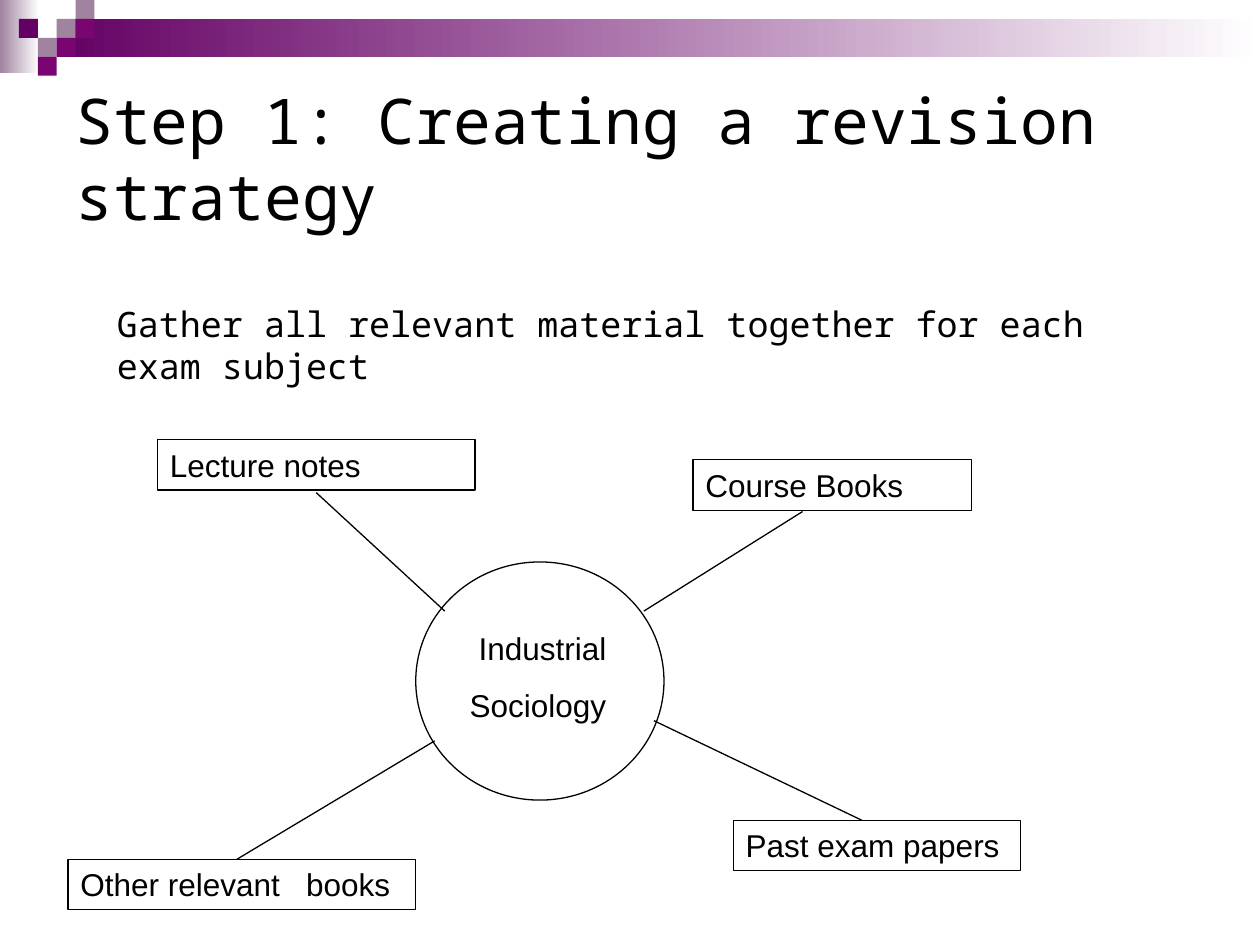
import pptx
import pptx.dml.color
import pptx.enum.shapes
import pptx.enum.text
import pptx.oxml
import pptx.util

COLORS = {
    "ink": "000000",
    "paper": "FFFFFF",
    "mauve": "9F839F",
    "purple": "640064",
    "plum": "790571",
}
GRID = 0.15
BODY_FONT = "Arial"
DISPLAY_FONT = "Noto Sans Mono"
SHAPES = pptx.enum.shapes.MSO_SHAPE

CHECKERS = [
    (3, 1, "mauve"), (4, 0, "mauve"), (4, 1, "plum"), (2, 2, "mauve"),
    (1, 1, "purple"), (3, 2, "plum"), (2, 3, "plum"),
]
SPOKES = [
    ((3.45, 5.88), (1.88, 6.82)),
    ((5.11, 4.85), (6.37, 4.06)),
    ((3.53, 4.85), (2.51, 3.91)),
    ((5.19, 5.72), (6.84, 6.51)),
]
SOURCES = [
    ("Lecture notes", 1.25, 3.49, 2.52),
    ("Course Books", 5.5, 3.65, 2.21),
    ("Past exam papers", 5.82, 6.51, 2.28),
    ("Other relevant   books", 0.54, 6.82, 2.76),
]


def color(name):
    return pptx.dml.color.RGBColor.from_string(COLORS[name])


def inches(*lengths):
    return [pptx.util.Inches(length) for length in lengths]


def add_outline(line):
    line.color.rgb = color("ink")
    line.width = pptx.util.Pt(0.75)


def add_shape(slide, preset, box, fill=None, outlined=False):
    shape = slide.shapes.add_shape(preset, *inches(*box))
    shape.shadow.inherit = False
    if fill:
        shape.fill.solid()
        shape.fill.fore_color.rgb = color(fill)
    else:
        shape.fill.background()
    if outlined:
        add_outline(shape.line)
    else:
        shape.line.fill.background()
    return shape


def add_fade(slide, box, start):
    shape = add_shape(slide, SHAPES.RECTANGLE, box)
    shape.fill.gradient()
    shape.fill.gradient_angle = 0
    for stop, name in zip(shape.fill.gradient_stops, (start, "paper")):
        stop.color.rgb = color(name)


def add_spoke(slide, start, end):
    connector = slide.shapes.add_connector(
        pptx.enum.shapes.MSO_CONNECTOR.STRAIGHT, *inches(*start, *end))
    add_outline(connector.line)
    connector._element.spPr.append(
        pptx.oxml.parse_xml('<a:effectLst xmlns:a="http://schemas.openxmlformats.org/drawingml/2006/main"/>'))


def write(shape, lines, size, font, before=0, indents=(0,), anchor="TOP"):
    frame = shape.text_frame
    frame.word_wrap = True
    frame.vertical_anchor = getattr(pptx.enum.text.MSO_ANCHOR, anchor)
    for index, text in enumerate(lines):
        paragraph = frame.paragraphs[0] if index == 0 else frame.add_paragraph()
        paragraph.alignment = pptx.enum.text.PP_ALIGN.LEFT
        paragraph.space_before = pptx.util.Pt(before)
        paragraph._p.get_or_add_pPr().set("marL", str(pptx.util.Inches(indents[index])))
        run = paragraph.add_run()
        run.text = text
        run.font.size = pptx.util.Pt(size)
        run.font.name = font
        run.font.color.rgb = color("ink")
    return frame


def add_text(slide, box, lines, size, font, **layout):
    return write(slide.shapes.add_textbox(*inches(*box)), lines, size, font, **layout)


def add_banner(slide):
    add_fade(slide, (0, 0, 0.31, 0.58), "mauve")
    add_fade(slide, (3 * GRID, GRID, 10 - 3 * GRID, 2 * GRID), "purple")
    for column, row, fill in CHECKERS:
        add_shape(slide, SHAPES.RECTANGLE, (column * GRID, row * GRID, GRID, GRID), fill)


def add_mind_map(slide):
    add_shape(slide, SHAPES.OVAL, (3.3, 4.46, 1.97, 1.89), "paper", outlined=True)
    add_text(slide, (3.35, 4.94, 2.13, 0.86), ["Industrial", "Sociology"], 18, BODY_FONT,
             before=11.2, indents=(0.35, 0.28))
    for start, end in SPOKES:
        add_spoke(slide, start, end)
    for label, left, top, width in SOURCES:
        shape = add_shape(slide, SHAPES.RECTANGLE, (left, top, width, 0.4), outlined=True)
        write(shape, [label], 18, BODY_FONT)


def main():
    presentation = pptx.Presentation()
    presentation.slide_width, presentation.slide_height = inches(10, 7.5)
    slide = presentation.slides.add_slide(presentation.slide_layouts[6])
    add_banner(slide)
    add_text(slide, (0.5, 0.5, 9, 1.5), ["Step 1: Creating a revision strategy"],
             36, DISPLAY_FONT, anchor="MIDDLE")
    add_mind_map(slide)
    instruction = add_text(
        slide, (0.83, 1.86, 8.66, 0.94),
        ["Gather all relevant material together for each exam subject"], 20, DISPLAY_FONT)
    instruction.margin_top = pptx.util.Inches(0.54)
    presentation.save("out.pptx")


if __name__ == "__main__":
    main()
